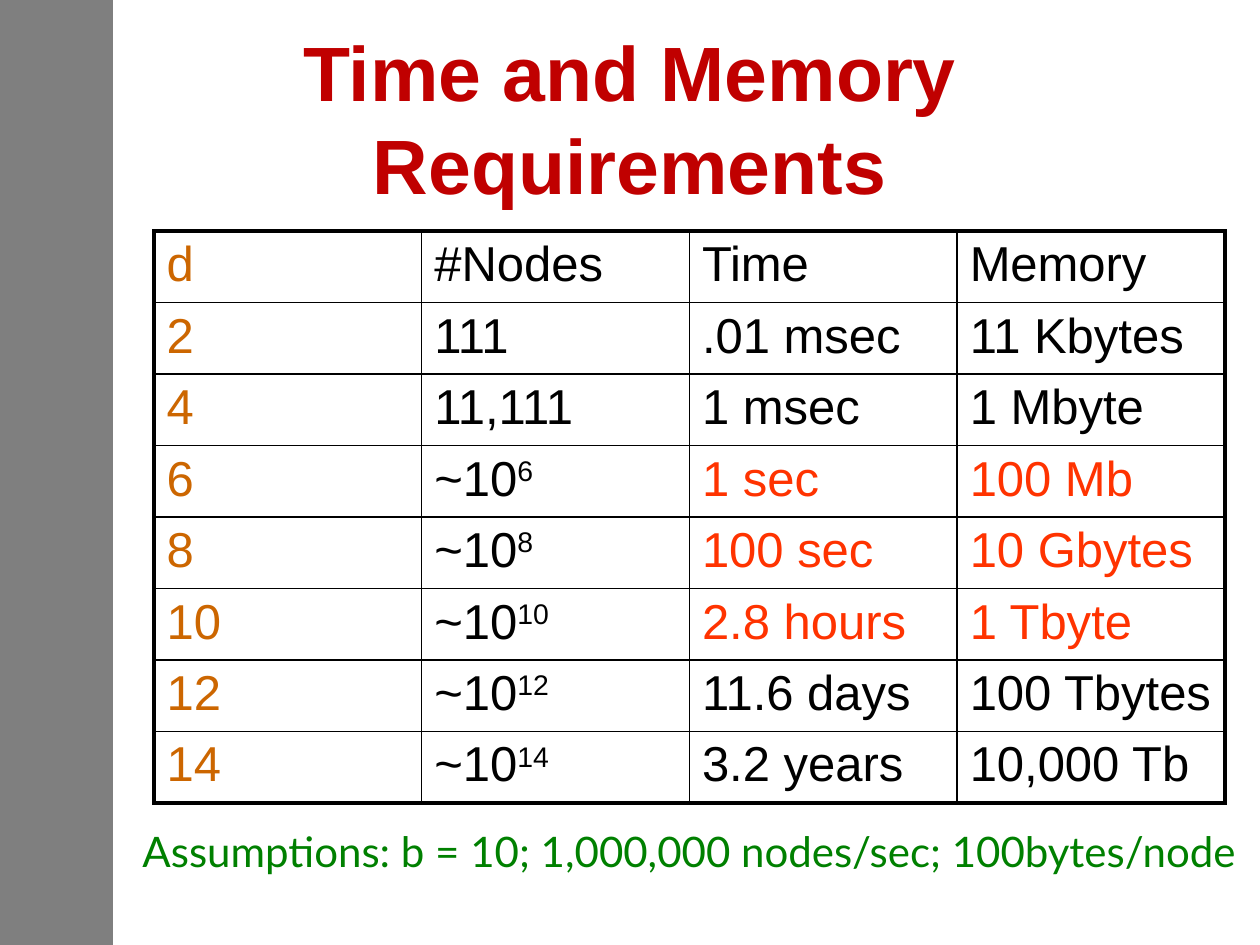
from lxml.etree import SubElement
from pptx import Presentation
from pptx.dml.color import RGBColor
from pptx.enum.shapes import MSO_SHAPE
from pptx.enum.text import MSO_ANCHOR, PP_ALIGN
from pptx.oxml.ns import qn
from pptx.util import Pt

PX = 914400 // 126
BLACK = RGBColor(0x00, 0x00, 0x00)
RED = RGBColor(0xC0, 0x00, 0x00)
BROWN = RGBColor(0xCC, 0x66, 0x00)
ORANGE = RGBColor(0xFF, 0x33, 0x00)
GREEN = RGBColor(0x00, 0x80, 0x00)

ROWS = [
    ("d", "#Nodes", "Time", "Memory"),
    ("2", "111", ".01 msec", "11 Kbytes"),
    ("4", "11,111", "1 msec", "1 Mbyte"),
    ("6", "~10^6", "1 sec", "100 Mb"),
    ("8", "~10^8", "100 sec", "10 Gbytes"),
    ("10", "~10^10", "2.8 hours", "1 Tbyte"),
    ("12", "~10^12", "11.6 days", "100 Tbytes"),
    ("14", "~10^14", "3.2 years", "10,000 Tb"),
]
HIGHLIGHTED = ("6", "8", "10")


def add_text(p, text, size=28, font="Arial", color=BLACK, bold=False):
    """Write text into a paragraph; whatever follows ^ is superscript."""
    base, _, power = text.partition("^")
    for part, baseline in ((base, None), (power, "30000")):
        if not part:
            continue
        r = p.add_run()
        r.text = part
        r.font.size = Pt(size)
        r.font.name = font
        r.font.bold = bold
        r.font.color.rgb = color
        if baseline:
            r.font._element.set("baseline", baseline)


def add_border(cell, side, width):
    ln = SubElement(cell._tc.get_or_add_tcPr(), qn(f"a:ln{side}"), w=str(Pt(width)))
    fill = SubElement(ln, qn("a:solidFill"))
    SubElement(fill, qn("a:srgbClr"), val=str(BLACK))


prs = Presentation()
prs.slide_width, prs.slide_height = 1260 * PX, 945 * PX
s = prs.slides.add_slide(prs.slide_layouts[6])

# Side band, half transparent
band = s.shapes.add_shape(MSO_SHAPE.RECTANGLE, 0, 0, 113 * PX, 945 * PX)
band.shadow.inherit = False
band.line.fill.background()
band.fill.solid()
band.fill.fore_color.rgb = BLACK
SubElement(band._element.spPr.find(".//" + qn("a:srgbClr")), qn("a:alpha"), val="50000")

# Title
title = s.shapes.add_textbox(63 * PX, 38 * PX, 1134 * PX, 158 * PX)
tf = title.text_frame
tf.word_wrap = True
tf.vertical_anchor = MSO_ANCHOR.MIDDLE
tf.paragraphs[0].alignment = PP_ALIGN.CENTER
add_text(tf.paragraphs[0], "Time and Memory Requirements", size=44, color=RED, bold=True)

# Table with a heavier outer frame
n_rows, n_cols = len(ROWS), len(ROWS[0])
table = s.shapes.add_table(n_rows, n_cols, 154 * PX, 231 * PX, 1071 * PX, 571 * PX).table
table.first_row = table.horz_banding = False
for i, row in enumerate(ROWS):
    for j, text in enumerate(row):
        cell = table.cell(i, j)
        outer = {"L": j == 0, "R": j == n_cols - 1, "T": i == 0, "B": i == n_rows - 1}
        for side, is_outer in outer.items():
            add_border(cell, side, 2.25 if is_outer else 1)
        cell.fill.background()

        p = cell.text_frame.paragraphs[0]
        spacing = SubElement(p._p.get_or_add_pPr(), qn("a:spcBef"))
        SubElement(spacing, qn("a:spcPct"), val="20000")
        if j == 0:
            color = BROWN
        elif j > 1 and row[0] in HIGHLIGHTED:
            color = ORANGE
        else:
            color = BLACK
        add_text(p, text, color=color)

# Assumptions
note = s.shapes.add_textbox(130 * PX, 819 * PX, 1130 * PX, 63 * PX)
note.text_frame.word_wrap = False
add_text(note.text_frame.paragraphs[0],
         "Assumptions: b = 10; 1,000,000 nodes/sec; 100bytes/node",
         size=24, font="Lato", color=GREEN)

prs.save("out.pptx")
